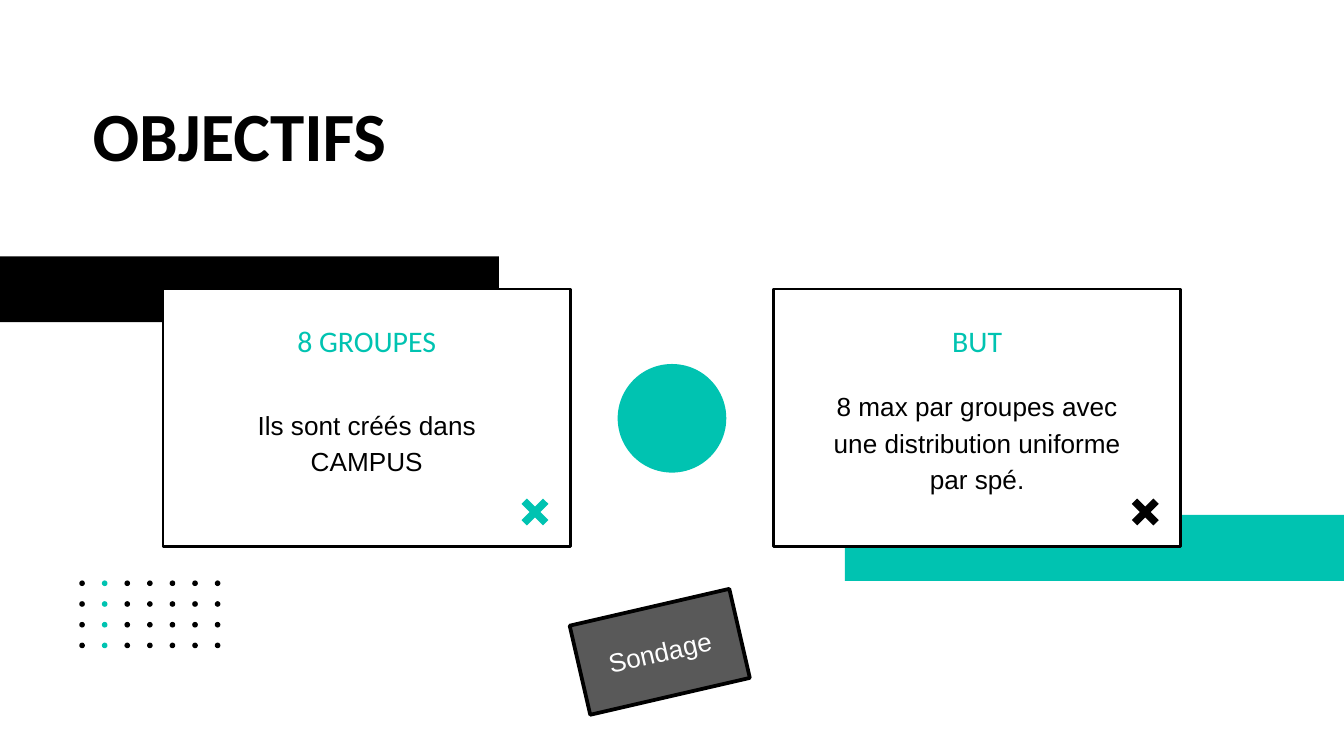
import lxml.etree
import pptx
import pptx.dml.color
import pptx.enum.shapes
import pptx.enum.text
import pptx.oxml.ns
import pptx.util

Pt = pptx.util.Pt
ShapeType = pptx.enum.shapes.MSO_SHAPE
Anchor = pptx.enum.text.MSO_ANCHOR
Align = pptx.enum.text.PP_ALIGN

BLACK = pptx.dml.color.RGBColor(0x00, 0x00, 0x00)
WHITE = pptx.dml.color.RGBColor(0xFF, 0xFF, 0xFF)
TEAL = pptx.dml.color.RGBColor(0x00, 0xC3, 0xB1)
GREY = pptx.dml.color.RGBColor(0x59, 0x59, 0x59)

CROSS_POINTS = [(2, 0), (0, 2), (3, 5), (0, 8), (2, 10), (5, 7),
                (8, 10), (10, 8), (7, 5), (10, 2), (8, 0), (5, 3)]
CARD_TOP = 154.8


def paint(shape, fill, line_width=0):
    shape.shadow.inherit = False
    shape.fill.solid()
    shape.fill.fore_color.rgb = fill
    if line_width:
        shape.line.color.rgb = BLACK
        shape.line.width = Pt(line_width)
        line = shape.line._get_or_add_ln()
        lxml.etree.SubElement(line, pptx.oxml.ns.qn("a:round"))
    else:
        shape.line.fill.background()


def add_block(slide, kind, left, top, width, height, fill, line_width=0):
    shape = slide.shapes.add_shape(kind, Pt(left), Pt(top), Pt(width), Pt(height))
    paint(shape, fill, line_width)
    return shape


def write_text(shape, text, font_name, size, color, inset,
               align=Align.CENTER, anchor=Anchor.MIDDLE, spacing=1.0, bold=False):
    frame = shape.text_frame
    frame.text = text
    frame.word_wrap = True
    frame.vertical_anchor = anchor
    frame.margin_left = frame.margin_right = Pt(inset)
    frame.margin_top = frame.margin_bottom = Pt(inset)
    paragraph = frame.paragraphs[0]
    paragraph.alignment = align
    paragraph.line_spacing = spacing
    font = paragraph.runs[0].font
    font.name = font_name
    font.size = Pt(size)
    font.bold = bold
    font.color.rgb = color


def add_label(slide, left, top, width, height, text, size, color, **style):
    box = slide.shapes.add_textbox(Pt(left), Pt(top), Pt(width), Pt(height))
    write_text(box, text, "Calibri", size, color, 7.2, **style)


def add_cross(slide, left, top, color):
    builder = slide.shapes.build_freeform(*CROSS_POINTS[0], scale=Pt(1.44))
    builder.add_line_segments(CROSS_POINTS[1:], close=True)
    paint(builder.convert_to_shape(Pt(left), Pt(top)), color)


def add_dot_grid(slide):
    for row in range(4):
        for column in range(7):
            color = TEAL if column == 1 else BLACK
            add_block(slide, ShapeType.OVAL, 42.5 + 12.1 * column,
                      311 + 11.1 * row, 3, 3, color)


def add_card(slide, left, heading, body, cross_color):
    add_block(slide, ShapeType.RECTANGLE, left, CARD_TOP, 218.2, 138.2, WHITE, 1.5)
    text_left = left + 11.9
    panel = add_block(slide, ShapeType.RECTANGLE, text_left, CARD_TOP + 38.2,
                      194.4, 85.7, WHITE)
    write_text(panel, body, "Arial", 14, BLACK, 13, spacing=1.15)
    add_cross(slide, left + 192, CARD_TOP + 112.3, cross_color)
    add_label(slide, text_left, CARD_TOP + 13.7, 194.4, 28.1, heading, 16, TEAL)


def add_survey_tag(slide):
    tag = add_block(slide, ShapeType.RECTANGLE, 309.6, 324.7, 87.8, 49, GREY, 2)
    tag.rotation = 347
    write_text(tag, "Sondage", "Arial", 14, WHITE, 3.6)


def main():
    presentation = pptx.Presentation()
    presentation.slide_width = Pt(720)
    presentation.slide_height = Pt(405)
    slide = presentation.slides.add_slide(presentation.slide_layouts[6])

    add_block(slide, ShapeType.RECTANGLE, 0, 137.3, 267.3, 35.3, BLACK)
    add_block(slide, ShapeType.RECTANGLE, 452.7, 275.9, 267.3, 35.3, TEAL)
    add_dot_grid(slide)
    add_block(slide, ShapeType.OVAL, 330.9, 195, 58.2, 58.2, TEAL)
    add_label(slide, 42.5, 42.5, 638, 62.6, "OBJECTIFS", 37, BLACK,
              align=Align.LEFT, anchor=Anchor.TOP, bold=True)
    add_card(slide, 87.4, "8 GROUPES", "Ils sont créés dans CAMPUS", TEAL)
    add_card(slide, 414.4, "BUT",
             "8 max par groupes avec une distribution uniforme par spé.", BLACK)
    add_survey_tag(slide)

    presentation.save("out.pptx")


if __name__ == "__main__":
    main()
